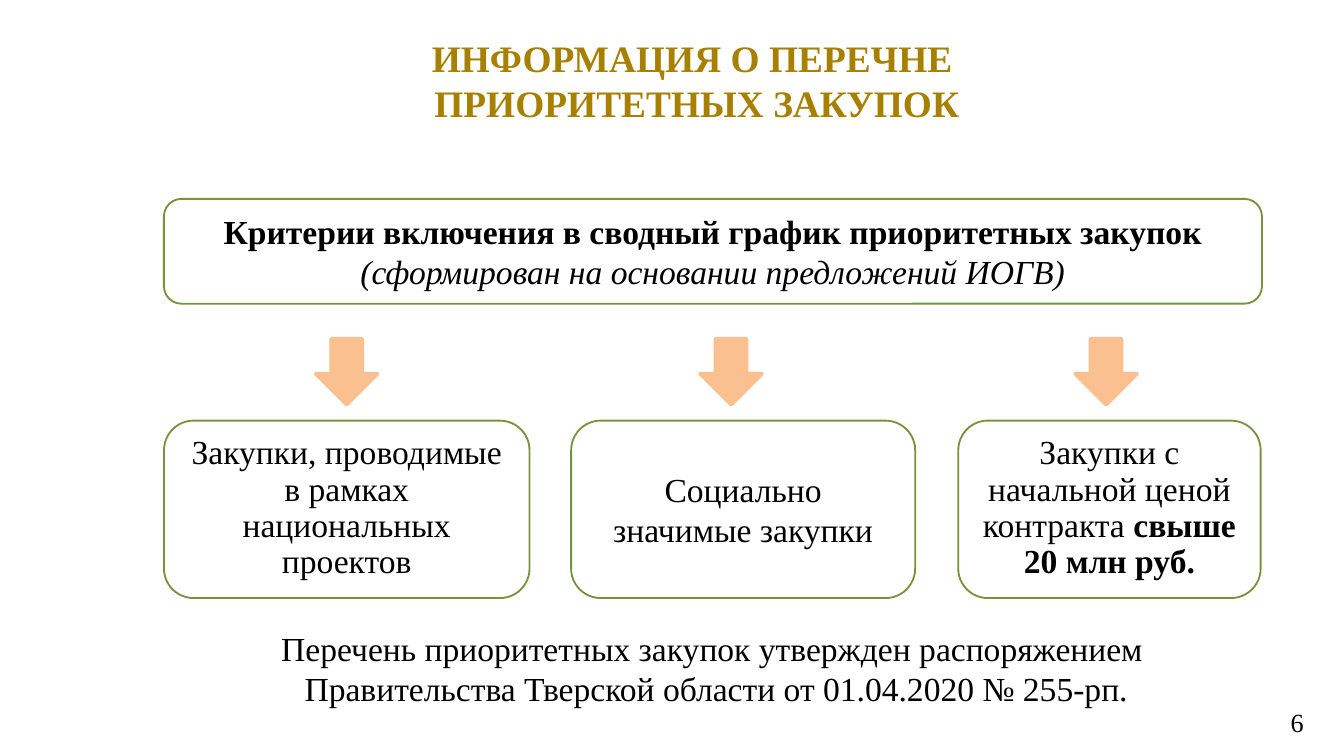
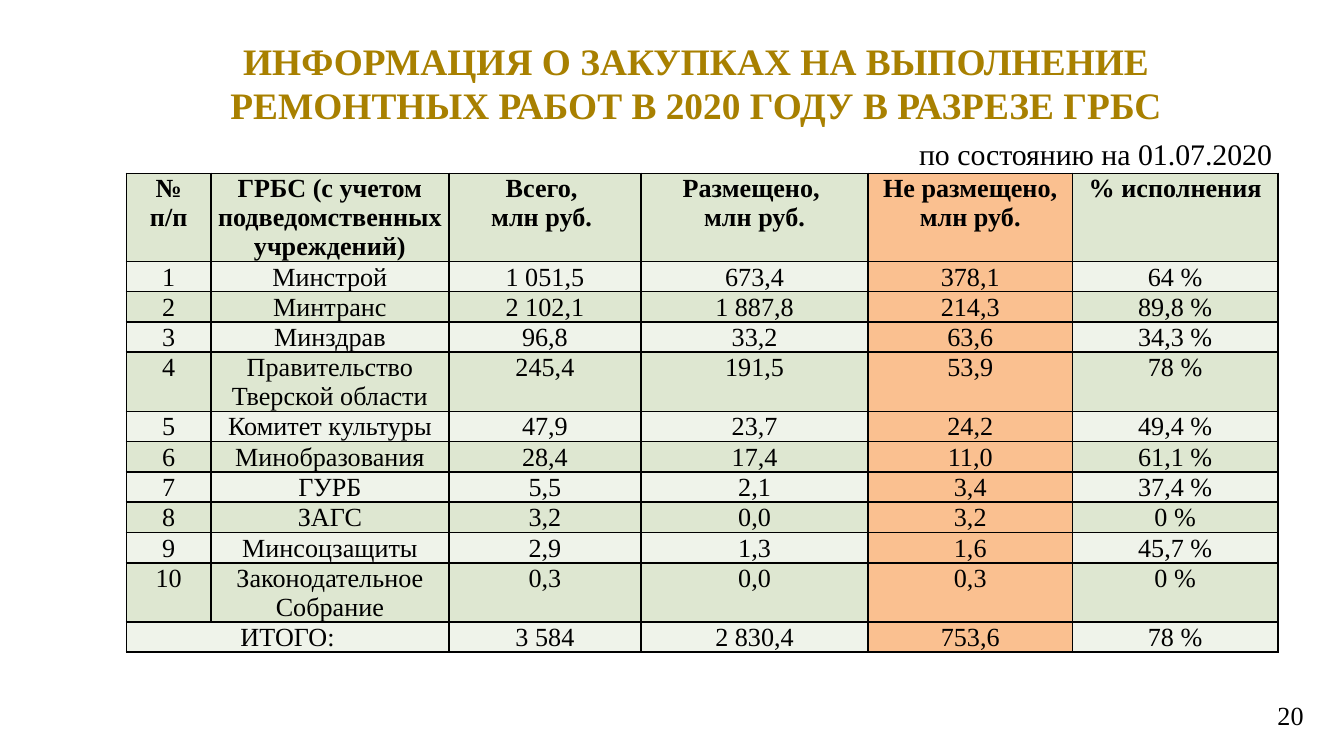
"""Builds two slides on priority procurement and repair contracts."""
import pptx
import pptx.dml.color
import pptx.enum.shapes
import pptx.enum.text
import pptx.oxml.ns
import pptx.util
from lxml import etree

WIDTH = 10
HEIGHT = WIDTH * 9 / 16
FONT = "Times New Roman"
GOLD, BLACK, WHITE = "A88000", "000000", "FFFFFF"
GREEN, PEACH = "77933C", "FAC090"
BAND_DARK, BAND_LIGHT = "DEE7D1", "EFF3EA"
ALIGN = pptx.enum.text.PP_ALIGN
ANCHOR = pptx.enum.text.MSO_ANCHOR
PRESET = pptx.enum.shapes.MSO_SHAPE
TIGHT = (0.07, 0.04, 0.07, 0.04)
ROOMY = (0.1, 0.05, 0.1, 0.05)
CELL_INSETS = (0.01, 0.01, 0.01, 0)

BOLD, ITALIC, PLAIN = {"bold": True}, {"italic": True}, {}

PRIORITY_TITLE = ["ИНФОРМАЦИЯ О ПЕРЕЧНЕ ", "ПРИОРИТЕТНЫХ ЗАКУПОК"]
CRITERIA = [
    [("Критерии включения в сводный график приоритетных закупок", BOLD)],
    [("(сформирован на основании предложений ИОГВ)", ITALIC)],
]
ALTERNATE, ROUNDED = PRESET.FLOWCHART_ALTERNATE_PROCESS, PRESET.ROUNDED_RECTANGLE
CRITERIA_LEFT, CRITERIA_WIDTH = 1.22, 8.17
CRITERION_TOP, CRITERION_HEIGHT = 3.13, 1.32
CRITERIA_BOXES = [
    (1.22, 2.72, 2.35, ALTERNATE, None, ANCHOR.TOP, 0.9,
     ["Закупки, проводимые\v в рамках \vнациональных проектов"]),
    (4.25, 2.56, 5.21, ROUNDED, WHITE, ANCHOR.MIDDLE, None,
     ["Социально значимые закупки"]),
    (7.13, 2.25, 8.0, ALTERNATE, None, ANCHOR.TOP, 0.9,
     [[("Закупки с начальной ценой контракта ", PLAIN), ("свыше 20 млн руб.", BOLD)]]),
]
DECREE = [
    "Перечень приоритетных закупок утвержден распоряжением",
    " Правительства Тверской области от 01.04.2020 № 255-рп.",
]

REPAIR_TITLE = ["ИНФОРМАЦИЯ О ЗАКУПКАХ НА ВЫПОЛНЕНИЕ РЕМОНТНЫХ РАБОТ В 2020 ГОДУ В РАЗРЕЗЕ ГРБС"]
AS_OF = ["по состоянию на 01.07.2020"]
HEADINGS = [
    ["№", "п/п"],
    ["ГРБС (с учетом подведомственных учреждений)"],
    ["Всего, ", "млн руб. "],
    ["Размещено, ", "млн руб."],
    ["Не размещено,", "млн руб."],
    ["% исполнения"],
]
DEPARTMENTS = [
    ("Минстрой", "1 051,5", "673,4", "378,1", "64 %"),
    ("Минтранс", "2 102,1", "1 887,8", "214,3", "89,8 %"),
    ("Минздрав", "96,8", "33,2", "63,6", "34,3 %"),
    ("Правительство Тверской области", "245,4", "191,5", "53,9", "78 %"),
    ("Комитет культуры", "47,9", "23,7", "24,2", "49,4 %"),
    ("Минобразования", "28,4", "17,4", "11,0", "61,1 %"),
    ("ГУРБ", "5,5", "2,1", "3,4", "37,4 %"),
    ("ЗАГС", "3,2", "0,0", "3,2", "0 %"),
    ("Минсоцзащиты", "2,9", "1,3", "1,6", "45,7 %"),
    ("Законодательное Собрание", "0,3", "0,0", "0,3", "0 %"),
]
TOTAL = ("ИТОГО:", "", "3 584", "2 830,4", "753,6", "78 %")
COLUMN_WIDTHS = [0.63, 1.77, 1.43, 1.69, 1.52, 1.53]
HEADING_HEIGHT, ROW_HEIGHT = 0.55, 0.21
TALL_ROWS = {4: 0.41}
UNPLACED_COLUMN = 4


def color(hex_code):
    return pptx.dml.color.RGBColor.from_string(hex_code)


def inches(*lengths):
    return [pptx.util.Inches(length) for length in lengths]


def write(frame, paragraphs, size=18, ink=BLACK, bold=False, align=ALIGN.CENTER,
          anchor=ANCHOR.TOP, insets=ROOMY, spacing=None):
    frame.word_wrap = True
    frame.auto_size = pptx.enum.text.MSO_AUTO_SIZE.NONE
    frame.vertical_anchor = anchor
    (frame.margin_left, frame.margin_top,
     frame.margin_right, frame.margin_bottom) = inches(*insets)
    for index, content in enumerate(paragraphs):
        paragraph = frame.add_paragraph() if index else frame.paragraphs[0]
        paragraph.alignment = align
        if spacing:
            paragraph.line_spacing = spacing
        runs = [(content, PLAIN)] if isinstance(content, str) else content
        for text, style in runs:
            for part, line in enumerate(text.split("\v")):
                if part:
                    paragraph.add_line_break()
                run = paragraph.add_run()
                run.text = line
                run.font.name = FONT
                run.font.size = pptx.util.Pt(size)
                run.font.color.rgb = color(ink)
                run.font.bold = style.get("bold", bold)
                run.font.italic = style.get("italic", False)


def add_text(slide, box, paragraphs, **style):
    write(slide.shapes.add_textbox(*inches(*box)).text_frame, paragraphs, **style)


def add_figure(slide, preset, box, fill, line, line_width):
    figure = slide.shapes.add_shape(preset, *inches(*box))
    figure.shadow.inherit = False
    if fill:
        figure.fill.solid()
        figure.fill.fore_color.rgb = color(fill)
    else:
        figure.fill.background()
    figure.line.color.rgb = color(line)
    figure.line.width = pptx.util.Pt(line_width)
    return figure


def add_slide(deck, title, title_box, number, number_top):
    slide = deck.slides.add_slide(deck.slide_layouts[5])
    heading = slide.shapes.title
    heading.left, heading.top, heading.width, heading.height = inches(*title_box)
    write(heading.text_frame, title, size=20, ink=GOLD, bold=True, insets=TIGHT)
    add_text(slide, (9.23, number_top, 0.54, 0.34), [number], size=14,
             align=ALIGN.RIGHT, anchor=ANCHOR.MIDDLE, insets=TIGHT)
    return slide


def outline_cell(cell):
    properties = cell._tc.get_or_add_tcPr()
    for index, side in enumerate(("lnL", "lnR", "lnT", "lnB")):
        border = etree.Element(pptx.oxml.ns.qn("a:" + side), w=str(pptx.util.Pt(1)))
        fill = etree.SubElement(border, pptx.oxml.ns.qn("a:solidFill"))
        etree.SubElement(fill, pptx.oxml.ns.qn("a:srgbClr"), val=BLACK)
        properties.insert(index, border)


def add_priority_slide(deck):
    slide = add_slide(deck, PRIORITY_TITLE, (1.91, 0.22, 6.55, 0.43), "6", 5.2)
    criteria = add_figure(slide, ALTERNATE, (CRITERIA_LEFT, 1.48, CRITERIA_WIDTH, 0.78),
                          None, GREEN, 1)
    write(criteria.text_frame, CRITERIA)
    for left, width, arrow_left, preset, fill, anchor, spacing, text in CRITERIA_BOXES:
        add_figure(slide, PRESET.DOWN_ARROW, (arrow_left, 2.52, 0.46, 0.49), PEACH, PEACH, 2)
        criterion = add_figure(slide, preset, (left, CRITERION_TOP, width, CRITERION_HEIGHT),
                               fill, GREEN, 1)
        write(criterion.text_frame, text, anchor=anchor, spacing=spacing)
    add_text(slide, (1.88, 4.62, 6.84, 0.71), DECREE)


def add_repair_slide(deck):
    slide = add_slide(deck, REPAIR_TITLE, (0.76, 0.24, 8.84, 0.43), "20", 5.15)
    rows = [HEADINGS]
    rows += [[[text] for text in (str(number), *department)]
             for number, department in enumerate(DEPARTMENTS, 1)]
    rows.append([[text] for text in TOTAL])
    heights = [HEADING_HEIGHT] + [TALL_ROWS.get(row, ROW_HEIGHT) for row in range(1, len(rows))]
    table = slide.shapes.add_table(
        len(rows), len(COLUMN_WIDTHS),
        *inches(0.94, 1.29, sum(COLUMN_WIDTHS), sum(heights))).table
    for column, width in zip(table.columns, COLUMN_WIDTHS):
        column.width = pptx.util.Inches(width)
    for row, height in zip(table.rows, heights):
        row.height = pptx.util.Inches(height)
    table.cell(len(rows) - 1, 0).merge(table.cell(len(rows) - 1, 1))
    for row, contents in enumerate(rows):
        band = BAND_LIGHT if row % 2 else BAND_DARK
        for column, paragraphs in enumerate(contents):
            cell = table.cell(row, column)
            cell.fill.solid()
            cell.fill.fore_color.rgb = color(PEACH if column == UNPLACED_COLUMN else band)
            outline_cell(cell)
            cell.margin_left, cell.margin_top, cell.margin_right, cell.margin_bottom = inches(
                *CELL_INSETS)
            if not cell.is_spanned:
                write(cell.text_frame, paragraphs, size=14, bold=row == 0, insets=CELL_INSETS)
    add_text(slide, (6.74, 0.96, 2.87, 0.37), AS_OF, size=16, align=ALIGN.LEFT)


def main():
    deck = pptx.Presentation()
    deck.slide_width, deck.slide_height = inches(WIDTH, HEIGHT)
    add_priority_slide(deck)
    add_repair_slide(deck)
    deck.save("out.pptx")


if __name__ == "__main__":
    main()
